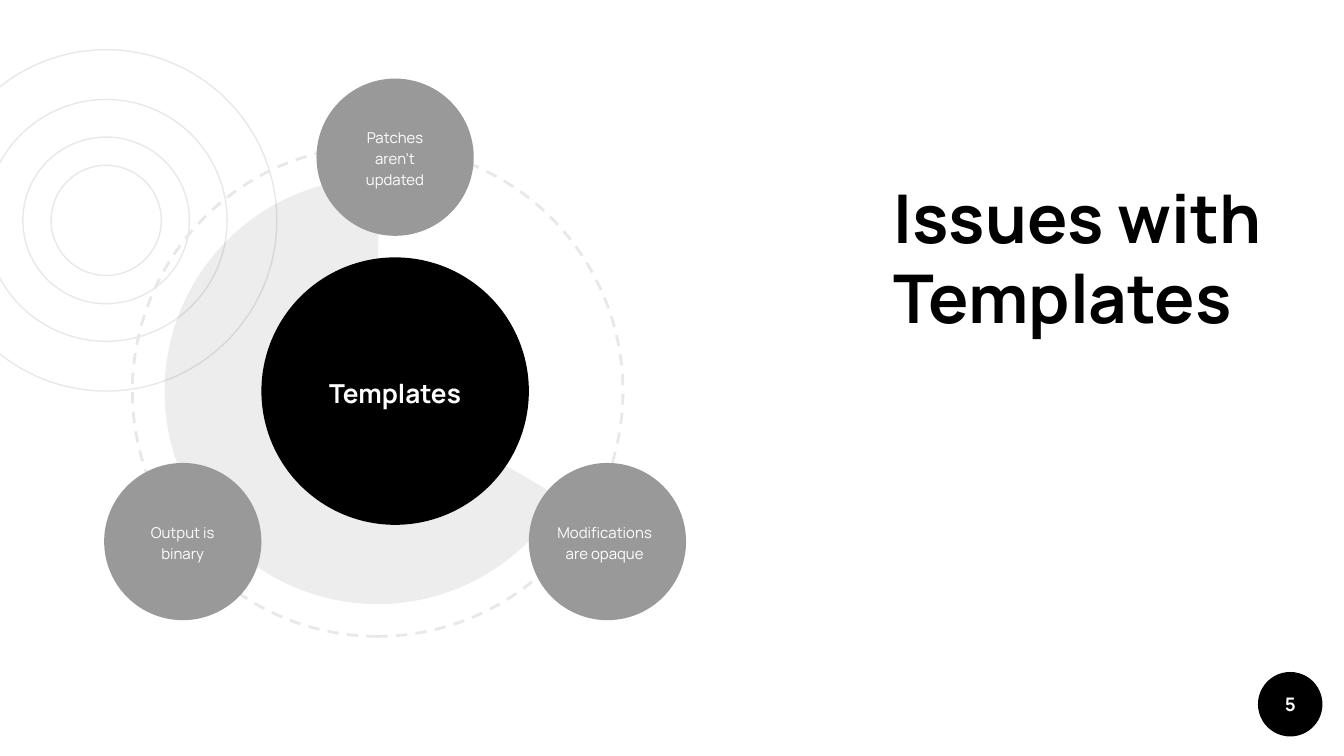
"""Build the slide on issues with templates."""
import dataclasses

import lxml.etree
import pptx
import pptx.dml.color
import pptx.enum.dml
import pptx.enum.shapes
import pptx.enum.text
import pptx.oxml.ns
import pptx.util

Inches = pptx.util.Inches
KIND = pptx.enum.shapes.MSO_SHAPE
ALIGN = pptx.enum.text.PP_ALIGN
ANCHOR = pptx.enum.text.MSO_ANCHOR


@dataclasses.dataclass(frozen=True)
class Theme:
    font: str = "Manrope"
    ink: str = "000000"
    paper: str = "FFFFFF"
    grey: str = "999999"
    pale: str = "E8E8E8"
    title: int = 36
    hub: int = 14
    page: int = 10
    label: int = 8


def color(code):
    return pptx.dml.color.RGBColor.from_string(code)


def write(frame, text, *, font, size, tint, bold=False,
          align=ALIGN.CENTER, anchor=ANCHOR.MIDDLE, space=1.15):
    frame.word_wrap = True
    frame.vertical_anchor = anchor
    frame.margin_left = frame.margin_right = Inches(0.1)
    frame.margin_top = frame.margin_bottom = Inches(0.1)
    line = frame.paragraphs[0]
    line.alignment = align
    line.line_spacing = space
    run = line.add_run()
    run.text = text
    run.font.name = font
    run.font.size = pptx.util.Pt(size)
    run.font.bold = bold
    run.font.color.rgb = color(tint)


class Deck:
    def __init__(self, theme):
        self.theme = theme
        self.show = pptx.Presentation()
        self.show.slide_width = Inches(10)
        self.show.slide_height = Inches(10) * 9 // 16
        self.slide = self.show.slides.add_slide(self.show.slide_layouts[6])
        self.slide.background.fill.solid()
        self.slide.background.fill.fore_color.rgb = color(theme.paper)

    def round(self, x, y, width, kind=KIND.OVAL):
        shape = self.slide.shapes.add_shape(
            kind, Inches(x - width / 2), Inches(y - width / 2),
            Inches(width), Inches(width))
        shape.shadow.inherit = False
        return shape

    def disc(self, x, y, width, tint):
        shape = self.round(x, y, width)
        shape.fill.solid()
        shape.fill.fore_color.rgb = color(tint)
        shape.line.fill.background()

    def ring(self, x, y, width, weight=0.75, dashed=False):
        shape = self.round(x, y, width)
        shape.fill.background()
        shape.line.color.rgb = color(self.theme.pale)
        shape.line.width = pptx.util.Pt(weight)
        if dashed:
            shape.rotation = 270
            shape.line.dash_style = pptx.enum.dml.MSO_LINE.DASH

    def wedge(self, x, y, width, start, end, alpha):
        shape = self.round(x, y, width, KIND.PIE)
        shape.adjustments[0] = start * 0.6
        shape.adjustments[1] = end * 0.6
        shape.fill.solid()
        shape.fill.fore_color.rgb = color(self.theme.ink)
        shape.line.fill.background()
        qn = pptx.oxml.ns.qn
        tint = shape.fill._xPr.find(qn("a:solidFill")).find(qn("a:srgbClr"))
        lxml.etree.SubElement(tint, qn("a:alpha")).set("val", str(alpha * 1000))

    def text(self, x, y, width, height, words, **style):
        box = self.slide.shapes.add_textbox(
            Inches(x - width / 2), Inches(y - height / 2),
            Inches(width), Inches(height))
        look = {"font": self.theme.font, "tint": self.theme.paper} | style
        write(box.text_frame, words, **look)


def main():
    theme = Theme()
    deck = Deck(theme)

    for width in (2.54, 1.8, 1.24, 0.82):
        deck.ring(0.79, 1.64, width)

    deck.disc(9.6, 5.24, 0.48, theme.ink)
    deck.text(8.19, 2.82, 3.28, 3.22, "Issues with Templates",
              size=theme.title, tint=theme.ink, bold=True,
              align=ALIGN.LEFT, anchor=ANCHOR.TOP, space=1)
    deck.text(9.6, 5.24, 0.48, 0.48, "5", size=theme.page, bold=True, space=1)

    deck.ring(2.81, 2.91, 3.65, weight=1.5, dashed=True)
    deck.wedge(2.81, 2.91, 3.17, start=30.2, end=270.25, alpha=7)
    deck.disc(2.94, 2.91, 1.99, theme.ink)
    deck.text(2.94, 2.91, 1.47, 0.9, "Templates", size=theme.hub, bold=True)

    issues = (
        (2.94, 2.94, 1.17, 0.83, "Patches aren’t updated"),
        (1.36, 1.36, 4.03, 0.83, "Output is binary"),
        (4.52, 4.5, 4.03, 0.96, "Modifications are opaque"),
    )
    for x, middle, y, width, words in issues:
        deck.disc(x, y, 1.17, theme.grey)
        deck.text(middle, y, width, 0.8, words, size=theme.label)

    deck.show.save("out.pptx")


if __name__ == "__main__":
    main()
